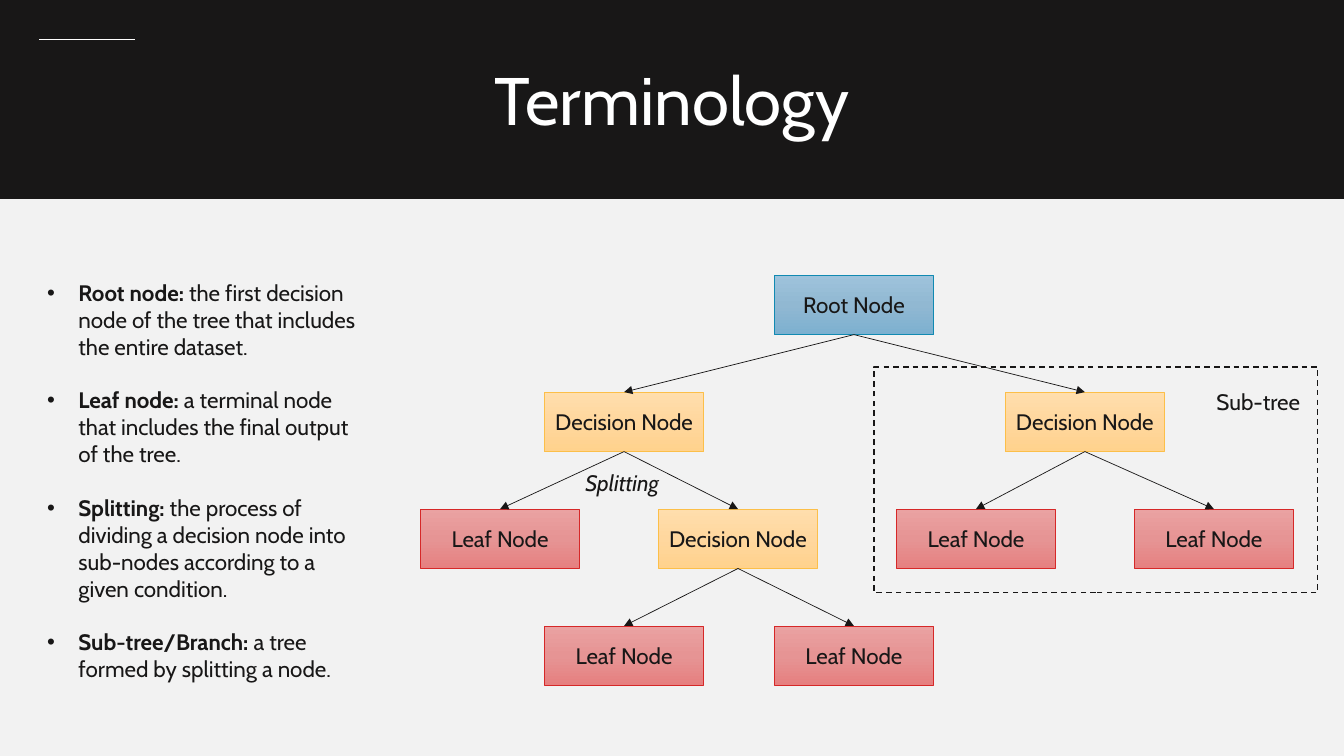
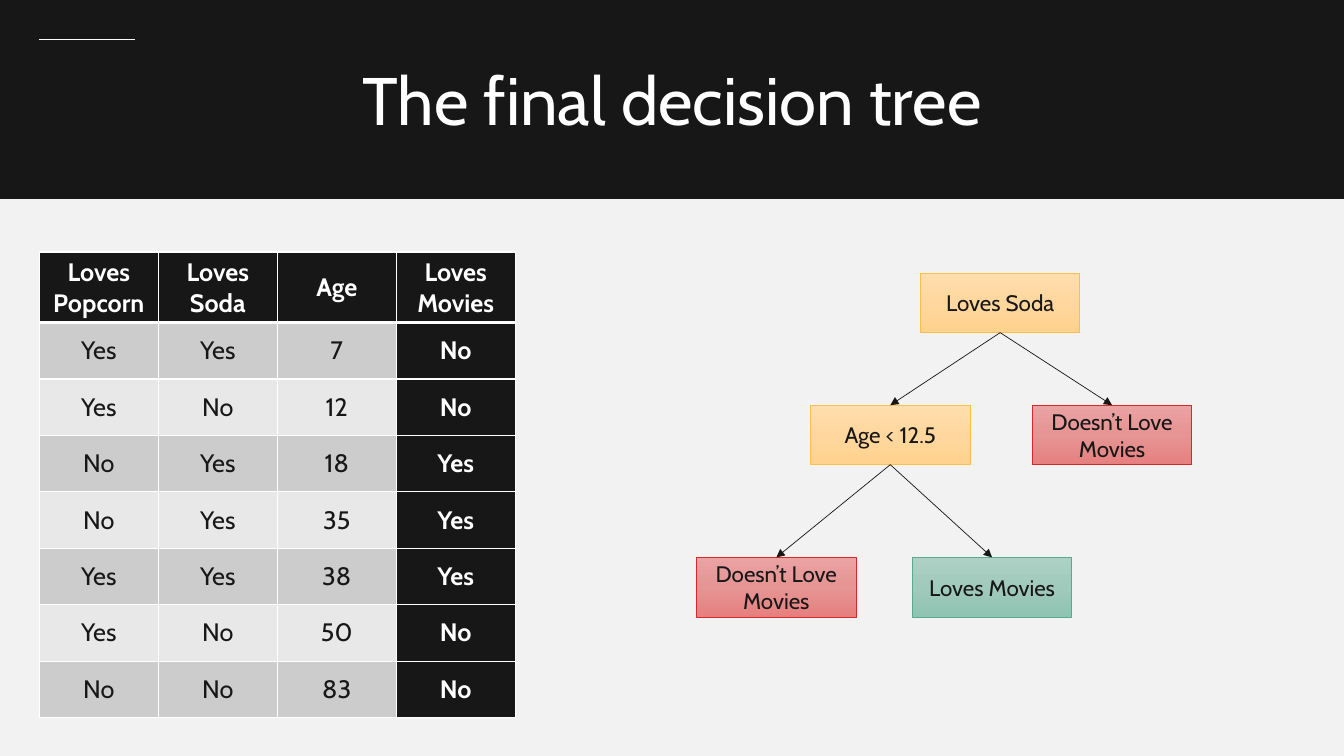
"""Build two slides on decision trees: the terminology and a worked example."""
from copy import deepcopy

from lxml import etree
from pptx import Presentation, util as u
from pptx.dml.color import RGBColor
from pptx.enum import dml, shapes, text
from pptx.oxml import ns

INK = RGBColor(0x18, 0x17, 0x17)
WHITE = RGBColor(0xFF, 0xFF, 0xFF)
PAPER = RGBColor(0xF2, 0xF2, 0xF2)
STRIPES = RGBColor(0xCC, 0xCC, 0xCC), RGBColor(0xE8, 0xE8, 0xE8)
NODE_COLOURS = {
    "root": ("118AB2", "9EC3DC", "91B8D2", "7CB0D0"),
    "decision": ("FCBF49", "FFDEAD", "FFD79E", "FFD28D"),
    "leaf": ("D62828", "EAA2A2", "E69494", "E68080"),
    "positive": ("56AB91", "ADD1C5", "A0CABB", "8FC4B2"),
}

WIDTH, HEIGHT, BAND = 13.33, 7.5, 1.97
MARGIN = 0.39
NODE_W, NODE_H = 1.58, 0.59
BODY = {"name": "Cabin", "size": u.Pt(16), "bold": False}
TITLE = {**BODY, "size": u.Pt(48)}
CELL = {**BODY, "size": u.Pt(18)}
CELL_STRONG = {**CELL, "bold": True}

TERMS = [
    ("Root node:", " the first decision node of the tree that includes the entire dataset."),
    ("Leaf node:", " a terminal node that includes the final output of the tree."),
    ("Splitting:", " the process of dividing a decision node into sub-nodes according to a given condition."),
    ("Sub-tree/Branch:", " a tree formed by splitting a node."),
]

# Each node: label, kind, left edge, level, index of its parent.
TERM_LEVELS = [2.73 + 1.16 * level for level in range(4)]
TERM_TREE = [
    ("Root Node", "root", 7.68, 0, None),
    ("Decision Node", "decision", 5.4, 1, 0),
    ("Decision Node", "decision", 9.97, 1, 0),
    ("Leaf Node", "leaf", 4.17, 2, 1),
    ("Decision Node", "decision", 6.53, 2, 1),
    ("Leaf Node", "leaf", 8.89, 2, 2),
    ("Leaf Node", "leaf", 11.25, 2, 2),
    ("Leaf Node", "leaf", 5.4, 3, 4),
    ("Leaf Node", "leaf", 7.68, 3, 4),
]
MOVIE_LEVELS = [2.71, 4.02, 5.53]
MOVIE_TREE = [
    ("Loves Soda", "decision", 9.13, 0, None),
    ("Age < 12.5", "decision", 8.04, 1, 0),
    ("Doesn’t Love Movies", "leaf", 10.24, 1, 0),
    ("Doesn’t Love Movies", "leaf", 6.91, 2, 1),
    ("Loves Movies", "positive", 9.05, 2, 1),
]
MOVIE_ROWS = [
    ("Loves Popcorn", "Loves Soda", "Age", "Loves Movies"),
    ("Yes", "Yes", "7", "No"),
    ("Yes", "No", "12", "No"),
    ("No", "Yes", "18", "Yes"),
    ("No", "Yes", "35", "Yes"),
    ("Yes", "Yes", "38", "Yes"),
    ("Yes", "No", "50", "No"),
    ("No", "No", "83", "No"),
]


def inches(*lengths):
    return [u.Inches(length) for length in lengths]


def write(para, words, style, colour=INK, **extra):
    span = para.add_run()
    span.text = words
    for name, value in {**style, **extra}.items():
        setattr(span.font, name, value)
    span.font.color.rgb = colour


def add_text(page, place):
    frame = page.shapes.add_textbox(*inches(*place)).text_frame
    frame.word_wrap = True
    frame.auto_size = text.MSO_AUTO_SIZE.SHAPE_TO_FIT_TEXT
    return frame


def add_label(page, words, place, style=BODY, colour=INK, **extra):
    para = add_text(page, place).paragraphs[0]
    para.alignment = text.PP_ALIGN.CENTER
    write(para, words, style, colour, **extra)


def add_box(page, place, outline, weight):
    box = page.shapes.add_shape(shapes.MSO_SHAPE.RECTANGLE, *inches(*place))
    box.shadow.inherit = False
    box.line.color.rgb = outline
    box.line.width = u.Pt(weight)
    return box


def add_line(page, colour, ends=(0, 0, 0, 0)):
    line = page.shapes.add_connector(shapes.MSO_CONNECTOR.STRAIGHT, *inches(*ends))
    line.line.color.rgb = colour
    line.line.width = u.Pt(0.5)
    etree.SubElement(line.element.spPr, ns.qn("a:effectLst"))
    return line


def add_page(deck, title):
    page = deck.slides.add_slide(deck.slide_layouts[6])
    page.background.fill.solid()
    page.background.fill.fore_color.rgb = PAPER
    band = add_box(page, (0, 0, WIDTH, BAND), INK, 1)
    band.fill.solid()
    band.fill.fore_color.rgb = INK
    add_line(page, WHITE, (MARGIN, MARGIN, MARGIN + 0.95, MARGIN))
    add_label(page, title, (2.3, 0.53, WIDTH - 4.6, 0.91), TITLE, WHITE)
    return page


def add_node(page, label, kind, left, top):
    outline, *shades = map(RGBColor.from_string, NODE_COLOURS[kind])
    box = add_box(page, (left, top, NODE_W, NODE_H), outline, 0.5)
    box.fill.gradient()
    box.fill.gradient_angle = 270
    stops = box.element.spPr.find(".//" + ns.qn("a:gsLst"))
    stops.append(deepcopy(stops[0]))
    for stop, shade, position in zip(box.fill.gradient_stops, shades, (0, 0.5, 1)):
        stop.color.rgb = shade
        stop.position = position
    frame = box.text_frame
    frame.word_wrap = True
    frame.vertical_anchor = text.MSO_ANCHOR.MIDDLE
    frame.margin_left = frame.margin_right = u.Inches(0.08)
    frame.paragraphs[0].alignment = text.PP_ALIGN.CENTER
    write(frame.paragraphs[0], label, BODY)
    return box


def add_tree(page, nodes, levels):
    boxes = [add_node(page, label, kind, left, levels[level])
             for label, kind, left, level, _ in nodes]
    for box, (*_, parent) in zip(boxes, nodes):
        if parent is None:
            continue
        arrow = add_line(page, INK)
        arrow.begin_connect(boxes[parent], 2)
        arrow.end_connect(box, 0)
        outline = arrow.element.spPr.find(ns.qn("a:ln"))
        etree.SubElement(outline, ns.qn("a:tailEnd"), type="triangle")


def add_terms(page, place):
    frame = add_text(page, place)
    for index, (term, meaning) in enumerate(TERMS):
        para = frame.add_paragraph() if index else frame.paragraphs[0]
        para.space_before = u.Pt(19.2 if index else 0)
        props = para._p.get_or_add_pPr()
        for name, indent in {"marL": 0.31, "indent": -0.31}.items():
            props.set(name, str(u.Inches(indent)))
        etree.SubElement(props, ns.qn("a:buFont"), typeface="Arial")
        etree.SubElement(props, ns.qn("a:buChar"), char="•")
        write(para, term, BODY, bold=True)
        write(para, meaning, BODY)


def add_borders(cell, weights):
    props = cell._tc.get_or_add_tcPr()
    for side, weight in weights.items():
        edge = etree.SubElement(props, ns.qn("a:ln" + side), w=str(u.Pt(weight)))
        fill = etree.SubElement(edge, ns.qn("a:solidFill"))
        etree.SubElement(fill, ns.qn("a:srgbClr"), val=str(WHITE))


def add_movie_table(page, left, top, column_width, header_height, row_height):
    rows, columns = len(MOVIE_ROWS), len(MOVIE_ROWS[0])
    size = columns * column_width, header_height + (rows - 1) * row_height
    table = page.shapes.add_table(rows, columns, *inches(left, top, *size)).table
    for column in table.columns:
        column.width = u.Inches(column_width)
    for r, values in enumerate(MOVIE_ROWS):
        table.rows[r].height = u.Inches(row_height if r else header_height)
        for c, value in enumerate(values):
            strong = r == 0 or c == columns - 1
            cell = table.cell(r, c)
            add_borders(cell, {"L": 1, "R": 1, "T": 3 if r == 1 else 1, "B": 1 if r else 3})
            cell.fill.solid()
            cell.fill.fore_color.rgb = INK if strong else STRIPES[(r - 1) % 2]
            cell.vertical_anchor = text.MSO_ANCHOR.MIDDLE
            para = cell.text_frame.paragraphs[0]
            para.alignment = text.PP_ALIGN.CENTER
            write(para, value, CELL_STRONG if strong else CELL, WHITE if strong else INK)


def main():
    deck = Presentation()
    deck.slide_width, deck.slide_height = inches(WIDTH, HEIGHT)

    page = add_page(deck, "Terminology")
    add_tree(page, TERM_TREE, TERM_LEVELS)
    subtree = add_box(page, (8.67, 3.64, 4.4, 2.24), INK, 1)
    subtree.fill.background()
    subtree.line.dash_style = dml.MSO_LINE.DASH
    add_label(page, "Sub-tree", (11.89, 3.8, 1.18, 0.37))
    add_label(page, "Splitting", (5.58, 4.61, 1.18, 0.37), italic=True)
    add_terms(page, (0.37, 2.72, 3.37, 4.14))

    page = add_page(deck, "The final decision tree")
    add_movie_table(page, MARGIN, 2.5, 1.18, 0.69, 0.56)
    add_tree(page, MOVIE_TREE, MOVIE_LEVELS)

    deck.save("out.pptx")


if __name__ == "__main__":
    main()
